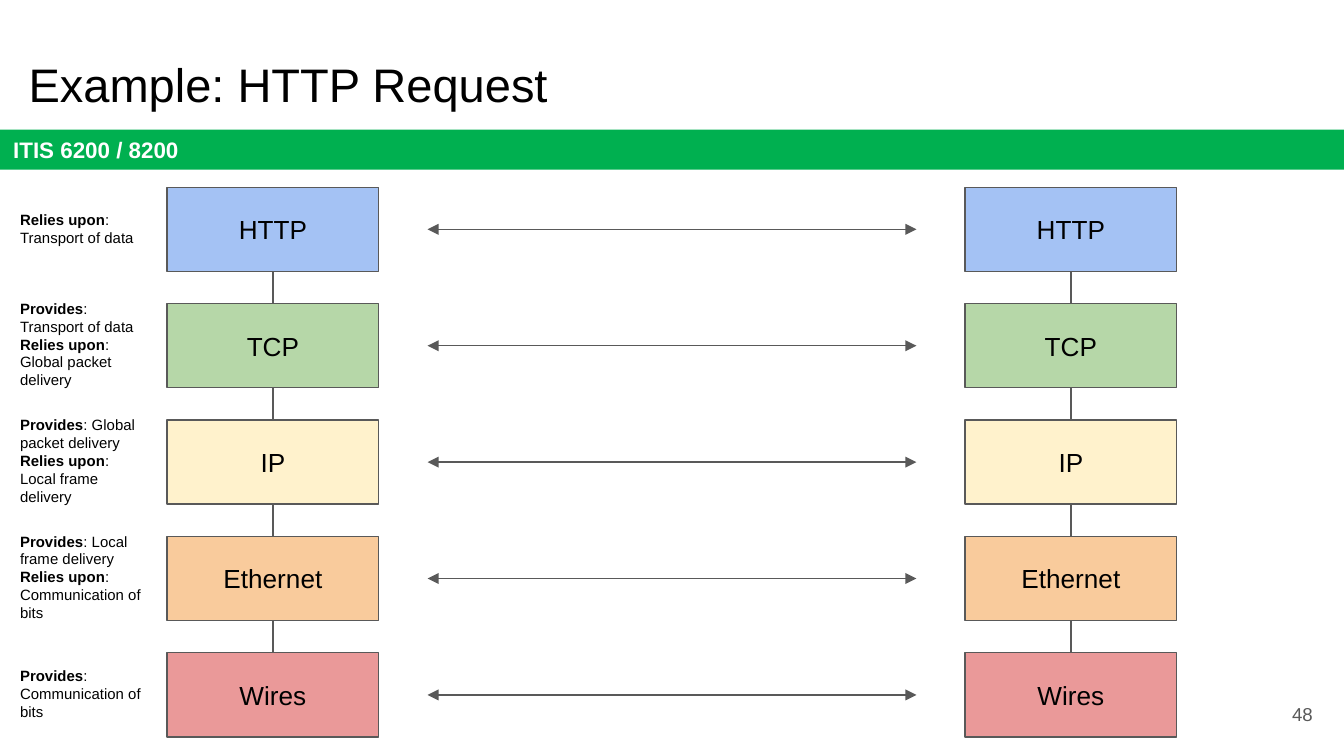
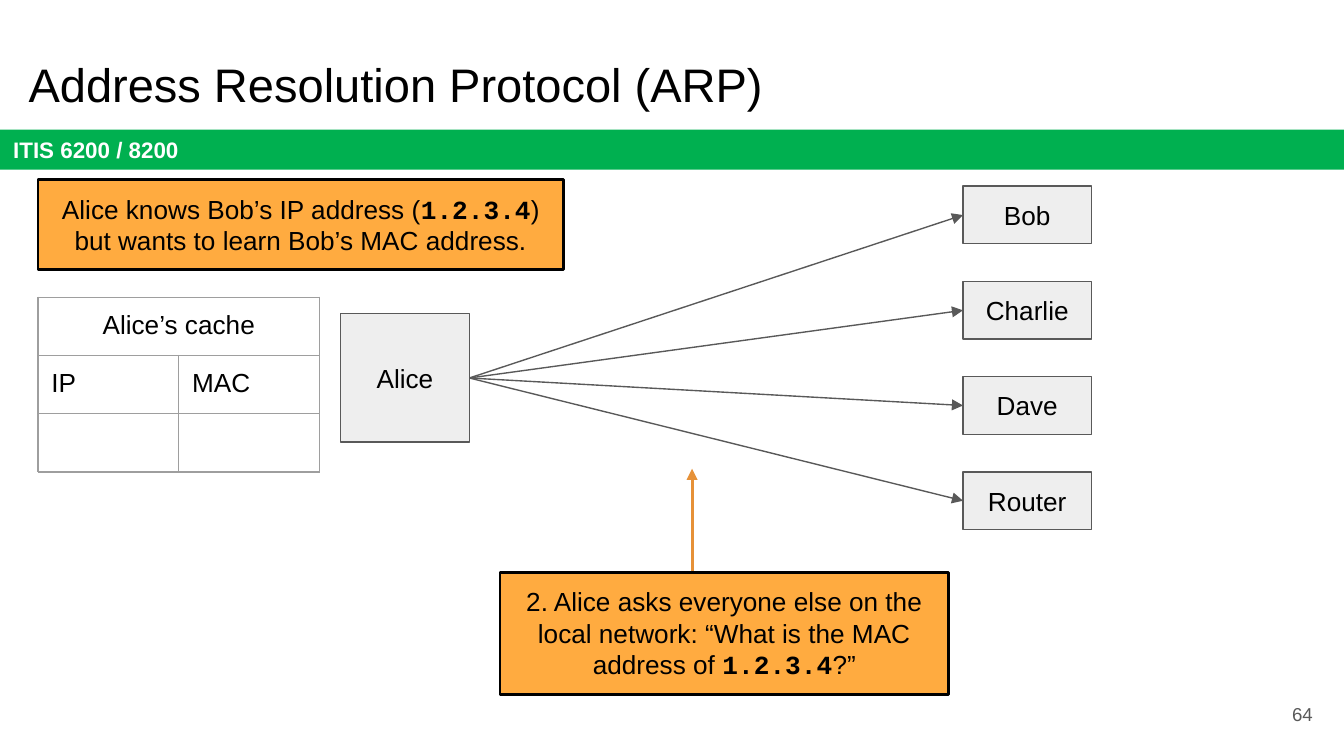
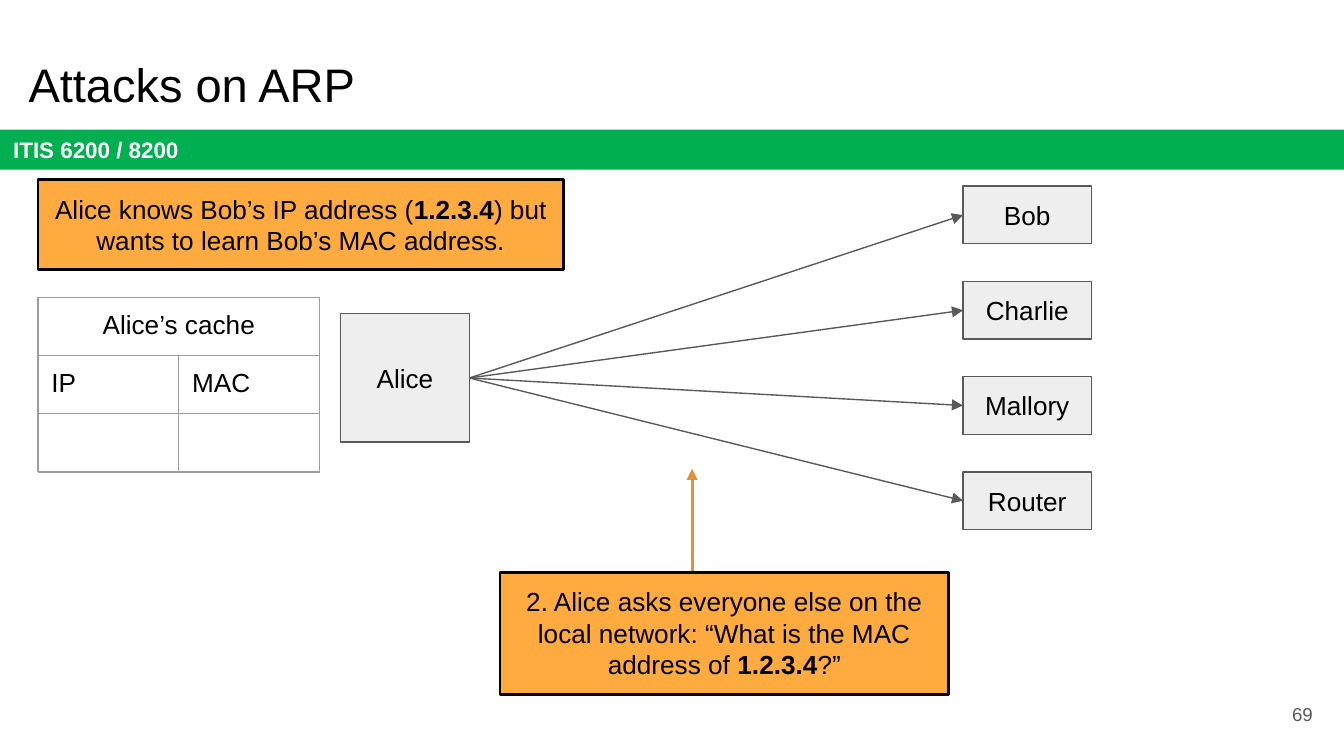
import lxml.etree
import pptx
import pptx.dml.color
import pptx.enum.shapes
import pptx.enum.text
import pptx.oxml.ns
import pptx.util

Cm = pptx.util.Cm
Pt = pptx.util.Pt
RGBColor = pptx.dml.color.RGBColor
ALIGN = pptx.enum.text.PP_ALIGN
ANCHOR = pptx.enum.text.MSO_ANCHOR
qn = pptx.oxml.ns.qn

SLIDE_WIDTH, SLIDE_HEIGHT = 25.4, 14.29
INSET = 0.25
SANS, MONO = "Arial", "Courier New"

BLACK = RGBColor(0x00, 0x00, 0x00)
WHITE = RGBColor(0xFF, 0xFF, 0xFF)
GREEN = RGBColor(0x00, 0xB0, 0x50)
GRAY = RGBColor(0x59, 0x59, 0x59)
LIGHT_GRAY = RGBColor(0xEE, 0xEE, 0xEE)
GRID_GRAY = RGBColor(0x9E, 0x9E, 0x9E)
ORANGE = RGBColor(0xFF, 0xAB, 0x40)
DARK_ORANGE = RGBColor(0xE6, 0x91, 0x38)

LAYERS = [
    ("HTTP", RGBColor(0xA4, 0xC2, 0xF4)),
    ("TCP", RGBColor(0xB6, 0xD7, 0xA8)),
    ("IP", RGBColor(0xFF, 0xF2, 0xCC)),
    ("Ethernet", RGBColor(0xF9, 0xCB, 0x9C)),
    ("Wires", RGBColor(0xEA, 0x99, 0x99)),
]
SERVICES = [
    "Transport of data",
    "Global packet delivery",
    "Local frame delivery",
    "Communication of bits",
]
LABEL_LINES = [2, 5, 5, 5, 3]
LAYER_WIDTH, LAYER_HEIGHT, LAYER_PITCH = 4, 1.59, 2.2
HOST_HEIGHT, HOST_PITCH = 1.09, 1.8


def lengths(box):
    """Convert a box in centimetres to slide lengths."""
    return [Cm(value) for value in box]


def write_text(shape, paragraphs, size=14, color=BLACK, align=ALIGN.LEFT, anchor=ANCHOR.TOP):
    """Fill a shape with paragraphs, each a list of (text, bold, font) runs."""
    frame = shape.text_frame
    frame.word_wrap = True
    frame.vertical_anchor = anchor
    frame.margin_left = frame.margin_right = Cm(INSET)
    frame.margin_top = frame.margin_bottom = Cm(INSET)
    for index, runs in enumerate(paragraphs):
        paragraph = frame.add_paragraph() if index else frame.paragraphs[0]
        write_runs(paragraph, runs, size, color, align)


def write_runs(paragraph, runs, size, color, align):
    """Add styled runs to one paragraph."""
    paragraph.alignment = align
    for text, bold, font in runs:
        run = paragraph.add_run()
        run.text = text
        run.font.size = Pt(size)
        run.font.bold = bold
        run.font.name = font
        run.font.color.rgb = color


def add_text(slide, box, paragraphs, **style):
    """Add a text box."""
    shape = slide.shapes.add_textbox(*lengths(box))
    write_text(shape, paragraphs, **style)
    return shape


def add_box(slide, box, fill, paragraphs, line=GRAY, weight=0.75, **style):
    """Add a filled rectangle with text, outlined if a line colour is given."""
    shape = slide.shapes.add_shape(pptx.enum.shapes.MSO_SHAPE.RECTANGLE, *lengths(box))
    shape.shadow.inherit = False
    shape.fill.solid()
    shape.fill.fore_color.rgb = fill
    if line is None:
        shape.line.fill.background()
    else:
        shape.line.color.rgb = line
        shape.line.width = Pt(weight)
    write_text(shape, paragraphs, **style)
    return shape


def add_node(slide, box, fill, name):
    """Add a box with a centred name."""
    return add_box(slide, box, fill, [[(name, False, SANS)]], align=ALIGN.CENTER, anchor=ANCHOR.MIDDLE)


def add_line(slide, start=(0, 0), end=(0, 0), color=GRAY, weight=0.75, ends=()):
    """Add a straight connector with triangles at the named ends."""
    connector = slide.shapes.add_connector(
        pptx.enum.shapes.MSO_CONNECTOR.STRAIGHT, *lengths((*start, *end))
    )
    connector.line.color.rgb = color
    connector.line.width = Pt(weight)
    line = connector.line._get_or_add_ln()
    for name in ends:
        lxml.etree.SubElement(line, qn(f"a:{name}"), type="triangle")
    lxml.etree.SubElement(connector._element.spPr, qn("a:effectLst"))
    return connector


def join(slide, first, first_side, second, second_side, ends=()):
    """Connect the sides of two boxes."""
    connector = add_line(slide, ends=ends)
    connector.begin_connect(first, first_side)
    connector.end_connect(second, second_side)


def add_frame_slide(presentation, title, number):
    """Add a slide with the title, the course band and the page number."""
    slide = presentation.slides.add_slide(presentation.slide_layouts[6])
    add_box(slide, (0, 2.45, SLIDE_WIDTH, 0.76), GREEN, [[("ITIS 6200 / 8200", True, SANS)]],
            line=None, size=12, color=WHITE, anchor=ANCHOR.MIDDLE)
    add_text(slide, (0.29, 0.76, 23.67, 1.6), [[(title, False, SANS)]], size=25.2, anchor=ANCHOR.BOTTOM)
    add_text(slide, (23.54, 12.95, 1.52, 1.09), [[(str(number), False, SANS)]],
             size=10, color=GRAY, align=ALIGN.RIGHT, anchor=ANCHOR.MIDDLE)
    return slide


def add_stack(slide, left, top):
    """Add one host's column of joined protocol layers."""
    nodes = [
        add_node(slide, (left, top + index * LAYER_PITCH, LAYER_WIDTH, LAYER_HEIGHT), fill, name)
        for index, (name, fill) in enumerate(LAYERS)
    ]
    for upper, lower in zip(nodes, nodes[1:]):
        join(slide, upper, 2, lower, 0)


def add_layer_label(slide, left, middle, index):
    """Describe what a layer provides and relies upon."""
    paragraphs = []
    if index > 0:
        paragraphs.append([("Provides", True, SANS), (": " + SERVICES[index - 1], False, SANS)])
    if index < len(SERVICES):
        paragraphs.append([("Relies upon", True, SANS), (": " + SERVICES[index], False, SANS)])
    height = 2 * INSET + 0.35 * LABEL_LINES[index]
    label = add_text(slide, (left, middle - height / 2, 2.87, height), paragraphs, size=8)
    label.text_frame.auto_size = pptx.enum.text.MSO_AUTO_SIZE.SHAPE_TO_FIT_TEXT


def add_request_slide(presentation):
    """Add the slide with two protocol stacks facing each other."""
    slide = add_frame_slide(presentation, "Example: HTTP Request", 48)
    top = 3.54
    for left in (3.16, 18.24):
        add_stack(slide, left, top)
    for index in range(len(LAYERS)):
        middle = top + index * LAYER_PITCH + LAYER_HEIGHT / 2
        add_line(slide, (8.08, middle), (17.32, middle), ends=("headEnd", "tailEnd"))
        add_layer_label(slide, 0.13, middle, index)


def style_cell(cell, text, align):
    """Write a table cell and draw its grid lines."""
    write_runs(cell.text_frame.paragraphs[0], [(text, False, SANS)] if text else [], 14, BLACK, align)
    cell.text_frame.paragraphs[0]._p.get_or_add_endParaRPr().set("sz", "1400")
    cell.margin_left = cell.margin_right = Cm(INSET)
    cell.margin_top = cell.margin_bottom = Cm(INSET)
    properties = cell._tc.get_or_add_tcPr()
    for side in ("lnL", "lnR", "lnT", "lnB"):
        border = lxml.etree.SubElement(properties, qn(f"a:{side}"), w=str(Pt(0.75)))
        fill = lxml.etree.SubElement(border, qn("a:solidFill"))
        lxml.etree.SubElement(fill, qn("a:srgbClr"), val=str(GRID_GRAY))
    cell.fill.background()


def add_cache(slide, box):
    """Add the table of Alice's cached addresses."""
    rows = [("Alice’s cache", ""), ("IP", "MAC"), ("", "")]
    table = slide.shapes.add_table(len(rows), 2, *lengths(box)).table
    table.first_row = table.horz_banding = False
    table.cell(0, 0).merge(table.cell(0, 1))
    for row, texts in enumerate(rows):
        for column, text in enumerate(texts):
            style_cell(table.cell(row, column), text, ALIGN.LEFT if row else ALIGN.CENTER)


def add_network(slide, left, top, names):
    """Add Alice and her arrows to every other host."""
    alice = add_node(slide, (left, top + 2.41, 2.43, 2.43), LIGHT_GRAY, "Alice")
    for index, name in enumerate(names):
        box = (left + 11.76, top + index * HOST_PITCH, 2.43, HOST_HEIGHT)
        host = add_node(slide, box, LIGHT_GRAY, name)
        join(slide, alice, 3, host, 1, ends=("tailEnd",))


def add_callout(slide, box, before, after, address_font):
    """Add an orange remark around Bob's address."""
    runs = [(before, False, SANS), ("1.2.3.4", True, address_font), (after, False, SANS)]
    callout = add_box(slide, box, ORANGE, [runs], line=BLACK, weight=1.5, align=ALIGN.CENTER)
    callout.text_frame.auto_size = pptx.enum.text.MSO_AUTO_SIZE.SHAPE_TO_FIT_TEXT


def add_arp_slide(presentation, title, number, third_host, address_font):
    """Add a slide on which Alice asks the network for Bob's address."""
    slide = add_frame_slide(presentation, title, number)
    add_network(slide, 6.44, 3.52, ("Bob", "Charlie", third_host, "Router"))
    add_cache(slide, (0.72, 5.62, 5.32, 3.3))
    add_callout(slide, (0.72, 3.4, 9.93, 1.7), "Alice knows Bob’s IP address (",
                ") but wants to learn Bob’s MAC address.", address_font)
    add_line(slide, (13.08, 11.4), (13.08, 8.86), DARK_ORANGE, 1.5, ("tailEnd",))
    add_callout(slide, (9.45, 10.82, 8.48, 2.31),
                "2. Alice asks everyone else on the local network: “What is the MAC address of ",
                "?”", address_font)


def main():
    """Build and save the presentation."""
    presentation = pptx.Presentation()
    presentation.slide_width = Cm(SLIDE_WIDTH)
    presentation.slide_height = Cm(SLIDE_HEIGHT)
    add_request_slide(presentation)
    add_arp_slide(presentation, "Address Resolution Protocol (ARP)", 64, "Dave", MONO)
    add_arp_slide(presentation, "Attacks on ARP", 69, "Mallory", SANS)
    presentation.save("out.pptx")


if __name__ == "__main__":
    main()
